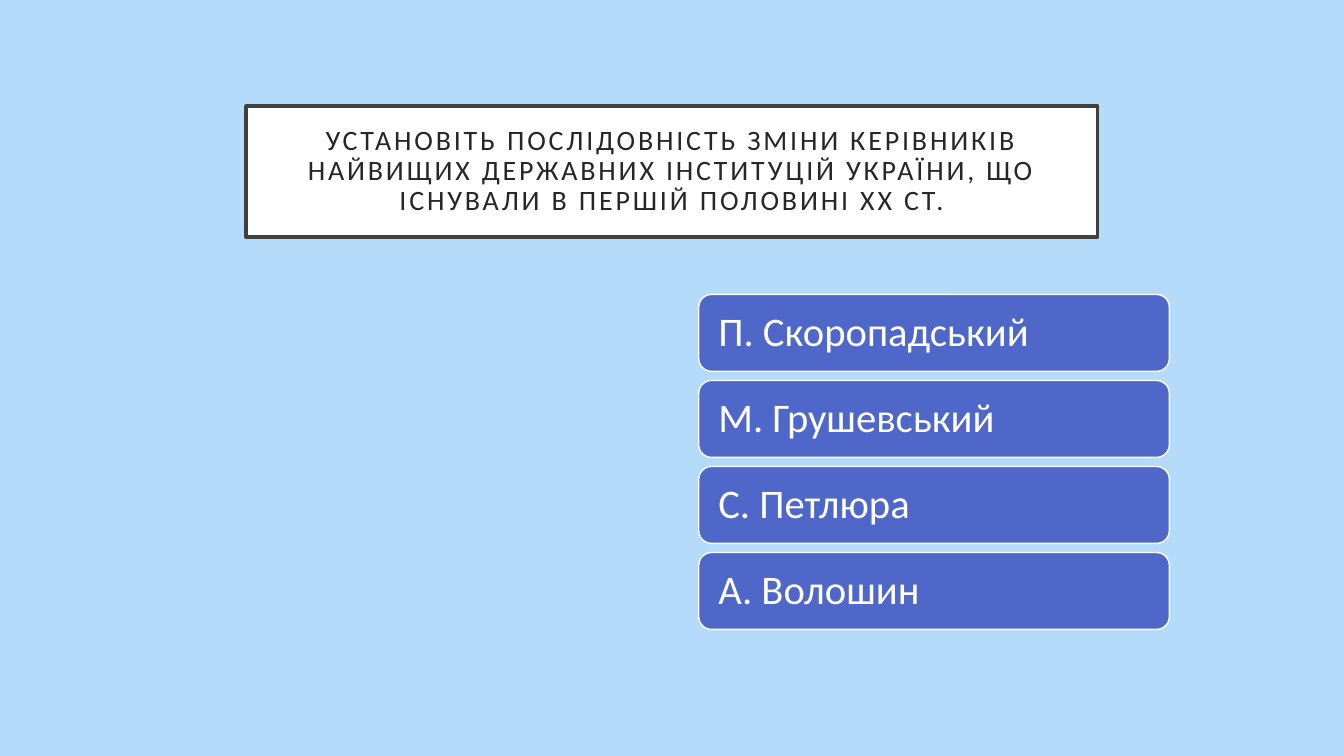
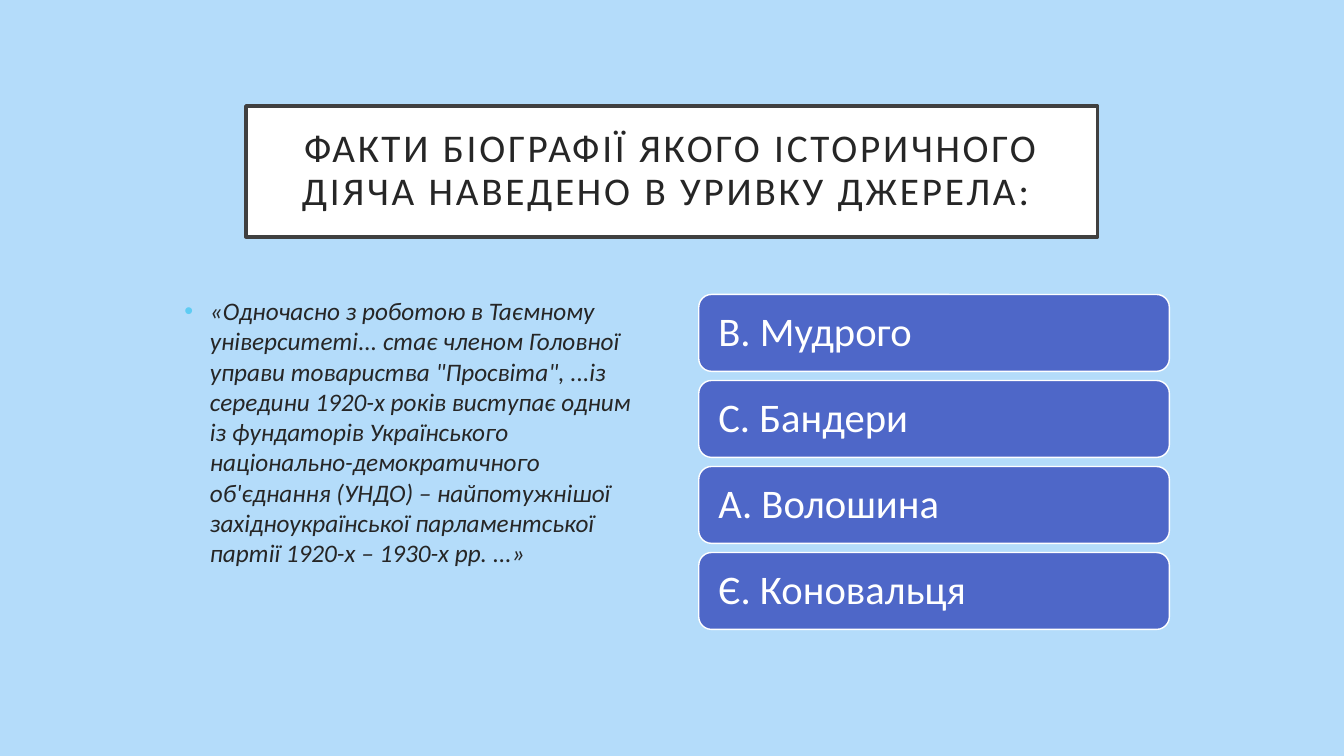
from dataclasses import dataclass

from lxml.etree import SubElement
from pptx import Presentation
from pptx.dml.color import RGBColor
from pptx.enum.shapes import MSO_SHAPE
from pptx.enum.text import MSO_ANCHOR, MSO_AUTO_SIZE, PP_ALIGN
from pptx.oxml.ns import qn
from pptx.util import Cm, Pt

SKY = RGBColor(0xB4, 0xDC, 0xFA)
WHITE = RGBColor(0xFF, 0xFF, 0xFF)
INK = RGBColor(0x26, 0x26, 0x26)
FRAME = RGBColor(0x40, 0x40, 0x40)
BLUE = RGBColor(0x4E, 0x67, 0xC8)
CYAN = RGBColor(0x5E, 0xCC, 0xF3)
FONT = "Calibri"


@dataclass
class Box:
    left: float
    top: float
    width: float
    height: float

    def lengths(self):
        return Cm(self.left), Cm(self.top), Cm(self.width), Cm(self.height)


TITLE_BOX = Box(6.2, 2.67, 21.46, 3.3)
QUOTE_BOX = Box(4.4, 7.32, 11.86, 8.61)
ANSWERS_BOX = Box(17.61, 7.42, 11.86, 8.44)
ANSWER_GAP = 0.23


def style_font(font, size, color):
    font.name = FONT
    font.size = Pt(size)
    font.color.rgb = color


def set_insets(frame, horizontal, vertical):
    frame.margin_left = frame.margin_right = Cm(horizontal)
    frame.margin_top = frame.margin_bottom = Cm(vertical)


def set_outline(shape, fill, line, width):
    shape.fill.solid()
    shape.fill.fore_color.rgb = fill
    shape.line.color.rgb = line
    shape.line.width = Pt(width)


def add_title(page, box, text, size):
    title = page.shapes.title
    title.left, title.top, title.width, title.height = box.lengths()
    set_outline(title, WHITE, FRAME, 2.5)
    frame = title.text_frame
    frame.auto_size = MSO_AUTO_SIZE.NONE
    frame.vertical_anchor = MSO_ANCHOR.MIDDLE
    set_insets(frame, 0.5, 0.5)
    para = frame.paragraphs[0]
    para.alignment = PP_ALIGN.CENTER
    para.line_spacing = 0.9
    span = para.add_run()
    span.text = text
    span._r.get_or_add_rPr().set("spc", "200")
    style_font(para.font, size, INK)


def add_quote(page, box, text):
    frame = page.shapes.add_textbox(*box.lengths()).text_frame
    frame.word_wrap = True
    para = frame.paragraphs[0]
    para.text = text
    properties = para._p.get_or_add_pPr()
    properties.set("marL", str(Cm(0.64)))
    properties.set("indent", str(Cm(-0.64)))
    bullet_color = SubElement(properties, qn("a:buClr"))
    SubElement(bullet_color, qn("a:srgbClr")).set("val", str(CYAN))
    SubElement(properties, qn("a:buFont")).set("typeface", "Arial")
    SubElement(properties, qn("a:buChar")).set("char", "•")
    style_font(para.font, 18, INK)
    para.font.italic = True


def add_answers(page, box, answers):
    height = (box.height - ANSWER_GAP * (len(answers) - 1)) / len(answers)
    for index, answer in enumerate(answers):
        row = Box(box.left, box.top + index * (height + ANSWER_GAP), box.width, height)
        button = page.shapes.add_shape(MSO_SHAPE.ROUNDED_RECTANGLE, *row.lengths())
        button.shadow.inherit = False
        set_outline(button, BLUE, WHITE, 1)
        frame = button.text_frame
        frame.word_wrap = True
        frame.vertical_anchor = MSO_ANCHOR.MIDDLE
        set_insets(frame, 0.4, 0.3)
        para = frame.paragraphs[0]
        para.text = answer
        para.alignment = PP_ALIGN.LEFT
        para.line_spacing = 0.9
        style_font(para.font, 29, WHITE)


def add_question(deck, title, title_size, answers, quote=None):
    page = deck.slides.add_slide(deck.slide_layouts[5])
    add_title(page, TITLE_BOX, title, title_size)
    if quote:
        add_quote(page, QUOTE_BOX, quote)
    add_answers(page, ANSWERS_BOX, answers)


def main():
    deck = Presentation()
    deck.slide_width, deck.slide_height = Cm(33.87), Cm(19.05)
    background = deck.slide_master.background.fill
    background.solid()
    background.fore_color.rgb = SKY
    add_question(
        deck,
        "УСТАНОВІТЬ ПОСЛІДОВНІСТЬ ЗМІНИ КЕРІВНИКІВ НАЙВИЩИХ ДЕРЖАВНИХ "
        "ІНСТИТУЦІЙ УКРАЇНИ, ЩО ІСНУВАЛИ В ПЕРШІЙ ПОЛОВИНІ ХХ СТ.",
        20,
        ["П. Скоропадський", "М. Грушевський", "С. Петлюра", "А. Волошин"],
    )
    add_question(
        deck,
        "ФАКТИ БІОГРАФІЇ ЯКОГО ІСТОРИЧНОГО ДІЯЧА НАВЕДЕНО В УРИВКУ ДЖЕРЕЛА: ",
        28,
        ["В. Мудрого", "С. Бандери", "А. Волошина", "Є. Коновальця"],
        "«Одночасно з роботою в Таємному університеті... стає членом Головної "
        "управи товариства \"Просвіта\", ...із середини 1920-х років виступає "
        "одним із фундаторів Українського національно-демократичного "
        "об'єднання (УНДО) – найпотужнішої західноукраїнської парламентської "
        "партії 1920-х – 1930-х рр. ...»",
    )
    deck.save("out.pptx")


if __name__ == "__main__":
    main()
